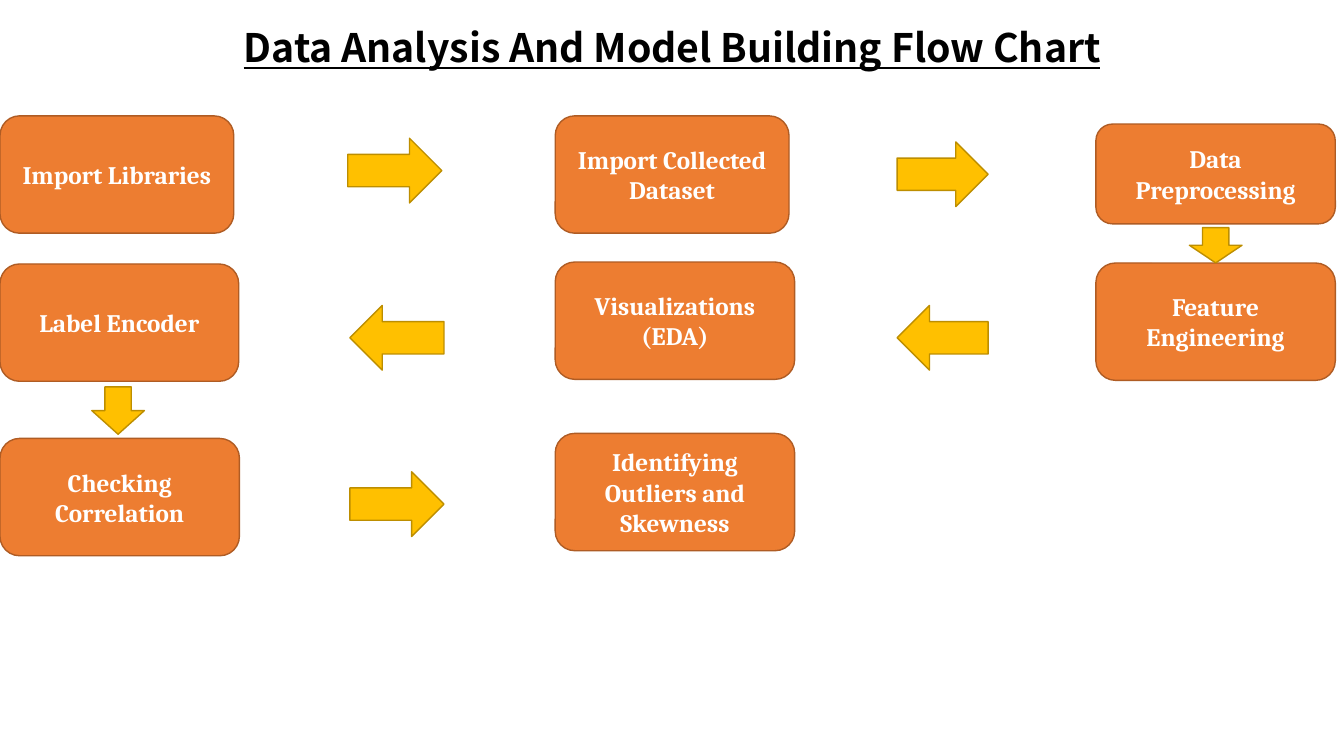
import pptx
import pptx.util
import pptx.dml.color
import pptx.enum.shapes
import pptx.enum.text

Pt = pptx.util.Pt
SHAPE = pptx.enum.shapes.MSO_SHAPE

TITLE = "Data Analysis And Model Building Flow Chart"

# column, top, width, height, lines
STEPS = [
    (0, 82.8, 167, 83.8, ["Import Libraries"]),
    (1, 82.8, 167, 83.8, ["Import Collected Dataset"]),
    (2, 88.6, 171, 71.3, ["Data Preprocessing"]),
    (2, 187.9, 171, 83.8, ["Feature Engineering"]),
    (1, 187.2, 171, 83.8, ["Visualizations", "(EDA)"]),
    (0, 188.6, 170.5, 83.8, ["Label Encoder"]),
    (0, 313.2, 171, 83.8, ["Checking Correlation"]),
    (1, 309.6, 171, 83.8, ["Identifying", "Outliers and Skewness"]),
]
ARROWS = [
    ("right", 248.4, 98.8, 67.2, 46.2),
    ("right", 640.8, 101.4, 65, 46.2),
    ("down", 849.6, 162.6, 37.6, 25.2),
    ("left", 640.8, 218.2, 65, 46.2),
    ("left", 249.9, 218.2, 67.2, 46.2),
    ("down", 65.6, 276.4, 37.6, 33.8),
    ("right", 249.9, 337, 67.2, 46.2),
]
COLUMNS = [0, 396.6, 782.8]
ARROW_KINDS = {
    "right": SHAPE.RIGHT_ARROW,
    "left": SHAPE.LEFT_ARROW,
    "down": SHAPE.DOWN_ARROW,
}
THEME = {
    "step": ("ED7D31", "AF5C24"),
    "arrow": ("FFC000", "BD8E00"),
    "title_font": {"name": "Noto Sans CJK SC", "size": Pt(28), "bold": True, "underline": True},
    "title_color": "000000",
    "step_font": {"name": "Cambria", "size": Pt(18), "bold": True},
    "step_color": "FFFFFF",
}


def rgb(value):
    return pptx.dml.color.RGBColor.from_string(value)


def write(sp, lines, style):
    tf = sp.text_frame
    tf.word_wrap = True
    tf.vertical_anchor = pptx.enum.text.MSO_ANCHOR.MIDDLE
    for i, line in enumerate(lines):
        p = tf.paragraphs[0] if i == 0 else tf.add_paragraph()
        p.alignment = pptx.enum.text.PP_ALIGN.CENTER
        r = p.add_run()
        r.text = line
        for key, value in THEME[style + "_font"].items():
            setattr(r.font, key, value)
        r.font.color.rgb = rgb(THEME[style + "_color"])


def add_block(slide, kind, box, style):
    sp = slide.shapes.add_shape(kind, *map(Pt, box))
    fill, line = THEME[style]
    sp.shadow.inherit = False
    sp.fill.solid()
    sp.fill.fore_color.rgb = rgb(fill)
    sp.line.color.rgb = rgb(line)
    sp.line.width = Pt(1)
    return sp


def main():
    prs = pptx.Presentation()
    prs.slide_width, prs.slide_height = Pt(960), Pt(540)
    slide = prs.slides.add_slide(prs.slide_layouts[6])

    title = slide.shapes.add_textbox(Pt(0), Pt(13), Pt(960), Pt(41))
    write(title, [TITLE], "title")

    for column, top, width, height, lines in STEPS:
        box = (COLUMNS[column], top, width, height)
        sp = add_block(slide, SHAPE.FLOWCHART_ALTERNATE_PROCESS, box, "step")
        write(sp, lines, "step")

    for kind, *box in ARROWS:
        add_block(slide, ARROW_KINDS[kind], box, "arrow")

    prs.save("out.pptx")


if __name__ == "__main__":
    main()
